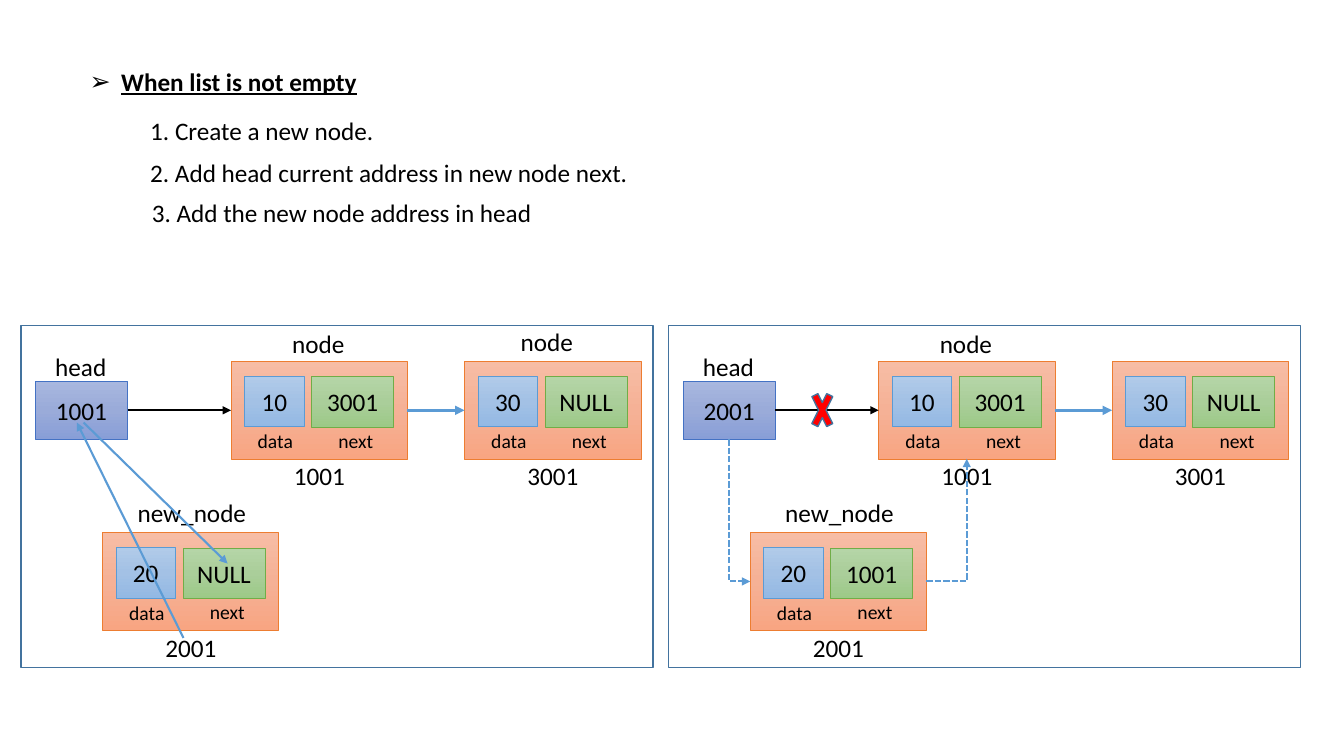
from copy import deepcopy

from pptx import Presentation
from pptx.dml.color import RGBColor
from pptx.enum.dml import MSO_LINE
from pptx.enum.shapes import MSO_CONNECTOR, MSO_SHAPE
from pptx.enum.text import MSO_ANCHOR, MSO_AUTO_SIZE, PP_ALIGN
from pptx.oxml.ns import qn
from pptx.oxml.xmlchemy import OxmlElement
from pptx.util import Inches, Pt

COLUMNS, ROWS = 160, 90
CELL = Inches(1) / 12

COLORS = {
    "text": "000000", "arrow": "5B9BD5", "head_arrow": "000000",
    "frame": "43739E", "cross": "FF0000",
    "node_line": "ED7D31", "data_line": "5B9BD5",
    "next_line": "70AD47", "head_line": "4472C4",
}
GRADIENTS = {
    "node": ("F7BDA5", "F5B196", "F8A582"),
    "data": ("B1CBE9", "A3C1E5", "93B9E4"),
    "next": ("B5D5A7", "AACE9A", "9CC987"),
    "head": ("A8B7DF", "9AABD9", "889ED7"),
}
FONT = {"name": "Calibri", "size": Pt(18)}
LABEL_FRAME = {"word_wrap": False, "auto_size": MSO_AUTO_SIZE.SHAPE_TO_FIT_TEXT}
BOX_FRAME = {"word_wrap": True, "vertical_anchor": MSO_ANCHOR.MIDDLE}

NODE_WIDTH, NODE_HEIGHT = 21, 11.64
ARROW_ROW = 48.85
FIRST, SECOND, NEW = (25, 43), (52.8, 43), (9.7, 63.4)


def set_values(target, values):
    for name, value in values.items():
        setattr(target, name, value)


def rgb(name):
    return RGBColor.from_string(COLORS[name])


def lengths(*cells):
    return [round(cell * CELL) for cell in cells]


class ListSlide:
    """Draws on one slide; columns count from the left of the current panel."""

    def __init__(self, slide):
        self.shapes = slide.shapes
        self.left = 0

    def put_words(self, frame, words, frame_values, **font_values):
        set_values(frame, frame_values)
        paragraph = frame.paragraphs[0]
        run = paragraph.add_run()
        run.text = words
        set_values(run.font, FONT | font_values)
        run.font.color.rgb = rgb("text")
        return paragraph

    def label(self, words, column, row, width, height=4.85, **font_values):
        place = lengths(self.left + column, row, width, height)
        frame = self.shapes.add_textbox(*place).text_frame
        return self.put_words(frame, words, LABEL_FRAME, **font_values)

    def heading(self, words, column, row, width):
        paragraph = self.label(words, column, row, width, bold=True, underline=True)
        properties = paragraph._p.get_or_add_pPr()
        properties.set("marL", "285750")
        properties.set("indent", "-285750")
        for tag, key, value in (("a:buFont", "typeface", "Arial"),
                                ("a:buChar", "char", "➢")):
            bullet = OxmlElement(tag)
            bullet.set(key, value)
            properties.append(bullet)

    def outline(self, kind, column, row, width, height, line, points):
        place = lengths(self.left + column, row, width, height)
        shape = self.shapes.add_shape(kind, *place)
        shape.shadow.inherit = False
        shape.fill.background()
        shape.line.color.rgb = rgb(line)
        shape.line.width = Pt(points)
        return shape

    def box(self, part, column, row, width, height, words=""):
        shape = self.outline(MSO_SHAPE.RECTANGLE, column, row, width, height,
                             f"{part}_line", 0.5)
        shape.fill.gradient()
        shape.fill.gradient_angle = 270
        stop_list = shape._element.spPr.find(".//" + qn("a:gsLst"))
        stop_list.insert(1, deepcopy(stop_list[0]))
        stops = zip(shape.fill.gradient_stops, (0, 0.5, 1), GRADIENTS[part])
        for stop, position, color in stops:
            stop.position = position
            stop.color.rgb = RGBColor.from_string(color)
        if words:
            paragraph = self.put_words(shape.text_frame, words, BOX_FRAME)
            paragraph.alignment = PP_ALIGN.CENTER

    def node(self, place, data, following, address):
        column, row = place
        self.box("node", column, row, NODE_WIDTH, NODE_HEIGHT)
        self.box("data", column + 1.6, row + 1.8, 7.1, 6, data)
        self.box("next", column + 9.6, row + 1.85, 9.75, 6, following)
        self.label("data", column + 2, row + 7.5, 6.7, 4.1, size=Pt(14))
        self.label("next", column + 11.6, row + 7.45, 6.6, 4.1, size=Pt(14))
        self.label(address, column + 6.3, row + 11.25, 8.5)

    def arrow(self, start, end, color="arrow", points=1.5, kind=MSO_CONNECTOR.STRAIGHT):
        (x1, y1), (x2, y2) = start, end
        place = lengths(self.left + x1, y1, self.left + x2, y2)
        connector = self.shapes.add_connector(kind, *place)
        connector.line.color.rgb = rgb(color)
        connector.line.width = Pt(points)
        tip = OxmlElement("a:tailEnd")
        tip.set("type", "triangle")
        connector.line._get_or_add_ln().append(tip)
        connector._element.spPr.append(OxmlElement("a:effectLst"))
        return connector

    def dashed_corner(self, start, end, down_first=False):
        """Draws a one-bend arrow, turned a quarter when it sets off downwards."""
        if down_first:
            (x1, y1), (x2, y2) = start, end
            middle_x, middle_y = (x1 + x2) / 2, (y1 + y2) / 2
            half_x, half_y = (y2 - y1) / 2, (x2 - x1) / 2
            start = middle_x + half_x, middle_y - half_y
            end = middle_x - half_x, middle_y + half_y
        connector = self.arrow(start, end, kind=MSO_CONNECTOR.ELBOW)
        connector.line.dash_style = MSO_LINE.SQUARE_DOT
        properties = connector._element.spPr
        properties.find(qn("a:prstGeom")).set("prst", "bentConnector2")
        if down_first:
            properties.find(qn("a:xfrm")).set("rot", "16200000")

    def panel(self, left, head, new_next):
        """Draws what both stages of the insertion share."""
        self.left = left
        self.node(FIRST, "10", "3001", "1001")
        self.label("node", 31.1, 38.45, 8.75)
        self.box("head", 1.7, 45.4, 11, 6.9, head)
        self.label("head", 2.9, 41.2, 8.6)
        self.arrow((12.7, ARROW_ROW), (FIRST[0], ARROW_ROW), "head_arrow")
        self.node(NEW, "20", new_next, "2001")
        self.label("new_node", 12.7, 58.6, 15.5)
        self.node(SECOND, "30", "NULL", "3001")
        self.arrow((FIRST[0] + NODE_WIDTH, ARROW_ROW), (SECOND[0], ARROW_ROW), points=2.25)
        self.outline(MSO_SHAPE.RECTANGLE, 0, 38.75, 75.25, 40.7, "frame", 1)


def main():
    presentation = Presentation()
    presentation.slide_width, presentation.slide_height = lengths(COLUMNS, ROWS)
    page = ListSlide(presentation.slides.add_slide(presentation.slide_layouts[6]))

    page.heading("When list is not empty", 9.5, 7.3, 34.4)
    for step, column, row, width in (
        ("1. Create a new node.", 16.7, 13.1, 29.4),
        ("2. Add head current address in new node next.", 16.7, 18.1, 60),
        ("3. Add the new node address in head", 16.9, 22.9, 48.2),
    ):
        page.label(step, column, row, width)

    page.panel(2.5, "1001", "NULL")
    page.label("node", 58.3, 38.2, 8.75)
    page.arrow((7.45, 50.3), (24.6, 67.1))
    page.arrow((19.35, 75.95), (6.65, 50.3))

    page.panel(79.6, "2001", "1001")
    new_middle = NEW[1] + NODE_HEIGHT / 2
    page.dashed_corner((7.2, 52.3), (NEW[0], new_middle), down_first=True)
    page.dashed_corner((NEW[0] + NODE_WIDTH, new_middle),
                       (FIRST[0] + NODE_WIDTH / 2, FIRST[1] + NODE_HEIGHT))
    cross = page.outline(MSO_SHAPE.MATH_MULTIPLY, 16.6, 45.4, 3.4, 6.85, "frame", 1)
    cross.fill.solid()
    cross.fill.fore_color.rgb = rgb("cross")

    presentation.save("out.pptx")


if __name__ == "__main__":
    main()
